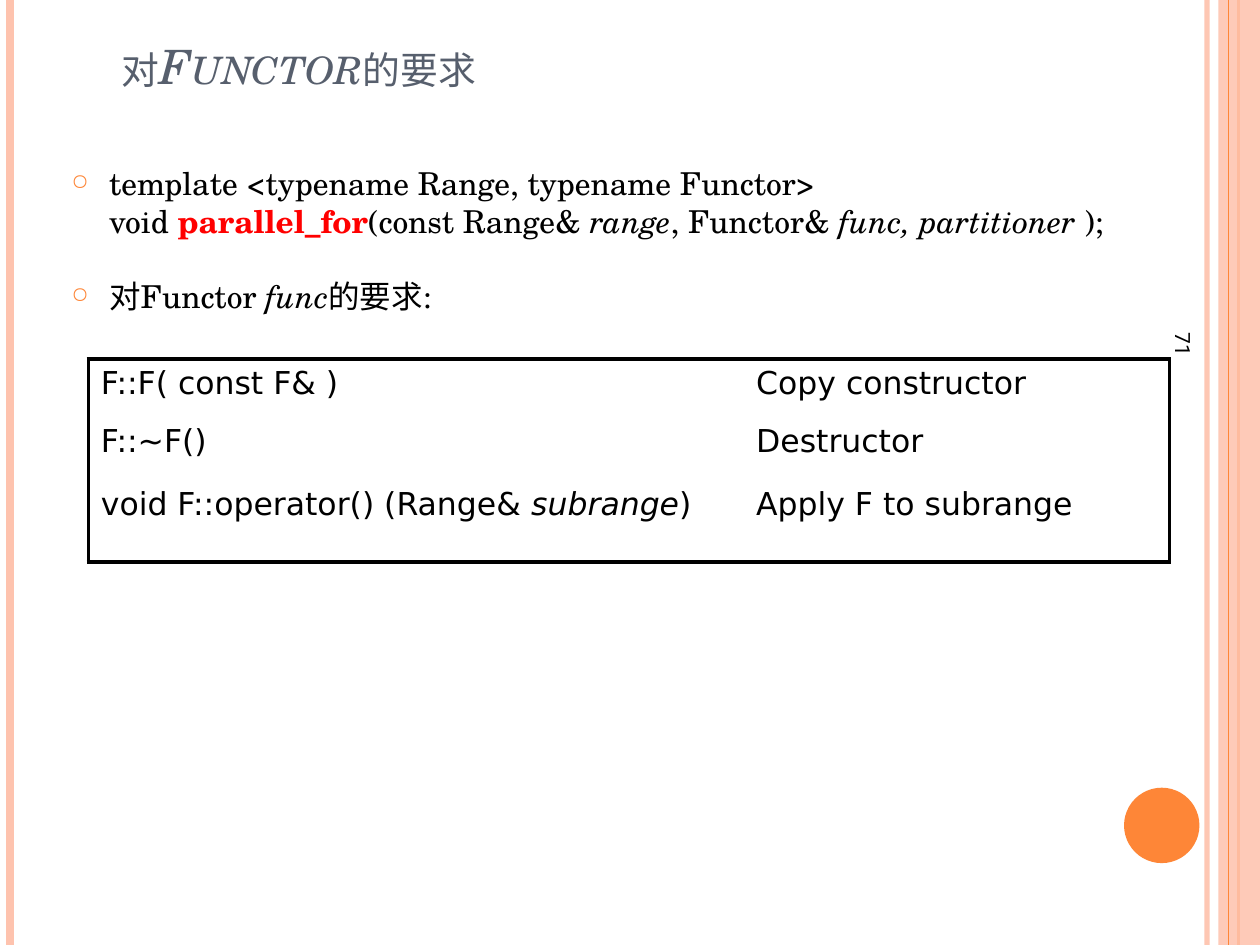
import dataclasses
import typing

import pptx
import pptx.dml.color
import pptx.enum.shapes
import pptx.enum.text
import pptx.oxml
import pptx.oxml.ns
import pptx.util
from pptx.util import Cm, Pt

RGBColor = pptx.dml.color.RGBColor
SHAPE = pptx.enum.shapes.MSO_SHAPE
ANCHOR = pptx.enum.text.MSO_ANCHOR

BLACK = RGBColor(0x00, 0x00, 0x00)
RED = RGBColor(0xFF, 0x00, 0x00)
SLATE = RGBColor(0x57, 0x5F, 0x6D)
PEACH = RGBColor(0xFE, 0xC3, 0xAE)
ORANGE = RGBColor(0xFE, 0x86, 0x37)

SERIF, SANS, NUMBER = "TeX Gyre Schola", "DejaVu Sans", "Roboto"
WIDTH, HEIGHT = 25.4, 19.05


@dataclasses.dataclass
class Stripe:
    x: float
    color: RGBColor
    width: float
    alpha: int = 100


@dataclasses.dataclass
class Decor:
    kind: typing.Any
    box: tuple[float, float, float, float]
    color: RGBColor
    alpha: int = 100


STRIPES = [
    Stripe(24.33, PEACH, 3, 93),
    Stripe(0.2, PEACH, 4.5),
    Stripe(24.97, ORANGE, 1.5),
]
BAND = Decor(SHAPE.RECTANGLE, (24.56, 0, 0.84, HEIGHT), PEACH, 87)
BAND_LINE = Stripe(24.77, ORANGE, 0.75)
DISC = Decor(SHAPE.OVAL, (22.66, 15.88, 1.52, 1.52), ORANGE)

# Text is a list of (words, format) pieces.
ITALIC = {"italic": True}
TITLE = [("对", {}), ("Functor", ITALIC), ("的要求", {})]
SIGNATURE = [
    ("template <typename Range, typename Functor>\nvoid ", {}),
    ("parallel_for", {"bold": True, "color": RED}),
    ("(const Range& ", {}),
    ("range", ITALIC),
    (", Functor& ", {}),
    ("func, partitioner ", ITALIC),
    (");", {}),
]
REQUIREMENT = [("对Functor ", {}), ("func", ITALIC), ("的要求:", {})]
ROWS = [
    ([("F::F( const F& )", {})], [("Copy constructor", {})]),
    ([("F::~F()", {})], [("Destructor", {})]),
    ([("void F::operator() (Range& ", {}), ("subrange", ITALIC), (")", {})],
     [("Apply F to subrange", {})]),
]
COL_WIDTHS = (13.21, 8.59)
ROW_HEIGHTS = (1.17, 1.27, 1.65)


def xml(tag: str, inner: str = "", attrs: str = ""):
    ns = pptx.oxml.ns.nsdecls("a")
    return pptx.oxml.parse_xml(f"<a:{tag} {ns} {attrs}>{inner}</a:{tag}>")


def set_alpha(element, percent: int) -> None:
    if percent < 100:
        for clr in element.iter(pptx.oxml.ns.qn("a:srgbClr")):
            clr.append(xml("alpha", attrs=f'val="{percent * 1000}"'))


def draw_stripe(s, stripe: Stripe) -> None:
    x = Cm(stripe.x)
    sp = s.shapes.add_connector(
        pptx.enum.shapes.MSO_CONNECTOR.STRAIGHT, x, 0, x, Cm(HEIGHT))
    sp.line.color.rgb = stripe.color
    sp.line.width = Pt(stripe.width)
    set_alpha(sp.line._get_or_add_ln(), stripe.alpha)
    sp._element.spPr.append(xml("effectLst"))


def draw_decor(s, decor: Decor) -> None:
    sp = s.shapes.add_shape(decor.kind, *map(Cm, decor.box))
    sp.shadow.inherit = False
    sp.fill.solid()
    sp.fill.fore_color.rgb = decor.color
    sp.line.fill.background()
    set_alpha(sp._element.spPr, decor.alpha)


def add_text(p, text: str, *, font=SERIF, size=18, color=BLACK,
             bold=False, italic=False, small_caps=False) -> None:
    for i, line in enumerate(text.split("\n")):
        if i:
            p.add_line_break()
        r = p.add_run()
        r.text = line
        r.font.name, r.font.size = font, Pt(size)
        r.font.bold, r.font.italic = bold, italic
        r.font.color.rgb = color
        if small_caps:
            r.font._element.set("cap", "small")


def fill_paragraph(p, pieces, **base) -> None:
    for text, fmt in pieces:
        add_text(p, text, **{**base, **fmt})


def add_box(s, box, anchor=ANCHOR.TOP):
    sp = s.shapes.add_textbox(*map(Cm, box))
    tf = sp.text_frame
    tf.word_wrap = True
    tf.vertical_anchor = anchor
    return sp


def add_bullet(p) -> None:
    pPr = p._p.get_or_add_pPr()
    indent = Cm(0.76)
    pPr.set("marL", str(indent))
    pPr.set("indent", str(-indent))
    pPr.append(xml("buClr", f'<a:srgbClr val="{ORANGE}"/>'))
    pPr.append(xml("buSzPct", attrs='val="70000"'))
    pPr.append(xml("buChar", attrs='char="○"'))


def set_borders(cell, sides: str) -> None:
    """Draw the sides named by letters in "LRTB" and clear the others."""
    tcPr = cell._tc.get_or_add_tcPr()
    solid = f'<a:solidFill><a:srgbClr val="{BLACK}"/></a:solidFill>'
    for side in "LRTB":
        inner = solid if side in sides else "<a:noFill/>"
        tcPr.append(xml(f"ln{side}", inner, f'w="{Pt(2.25)}"'))


def draw_table(s) -> None:
    frame = s.shapes.add_table(
        len(ROWS), len(COL_WIDTHS), Cm(1.78), Cm(7.24),
        Cm(sum(COL_WIDTHS)), Cm(sum(ROW_HEIGHTS)))
    table = frame.table
    table.first_row = table.horz_banding = False
    for col, width in zip(table.columns, COL_WIDTHS):
        col.width = Cm(width)
    for i, (row, height) in enumerate(zip(ROWS, ROW_HEIGHTS)):
        table.rows[i].height = Cm(height)
        for j, pieces in enumerate(row):
            cell = table.cell(i, j)
            edge = {0: "T", len(ROWS) - 1: "B"}.get(i, "")
            set_borders(cell, "LR"[j] + edge)
            cell.fill.background()
            fill_paragraph(cell.text_frame.paragraphs[0], pieces, font=SANS)


def main() -> None:
    prs = pptx.Presentation()
    prs.slide_width, prs.slide_height = Cm(WIDTH), Cm(HEIGHT)
    s = prs.slides.add_slide(prs.slide_layouts[6])

    for stripe in STRIPES:
        draw_stripe(s, stripe)
    draw_decor(s, BAND)
    draw_stripe(s, BAND_LINE)
    draw_decor(s, DISC)

    number = add_box(s, (19.41, 10.39, 8.89, 1.02), ANCHOR.MIDDLE)
    number.rotation = 90
    add_text(number.text_frame.paragraphs[0], "71", font=NUMBER, size=12)

    title = add_box(s, (2.21, 0.86, 21.69, 1.17), ANCHOR.BOTTOM)
    fill_paragraph(title.text_frame.paragraphs[0], TITLE,
                   size=27, color=SLATE, small_caps=True)

    tf = add_box(s, (1.19, 3.18, 22.94, 12.95)).text_frame
    for i, pieces in enumerate((SIGNATURE, REQUIREMENT)):
        p = tf.add_paragraph() if i else tf.paragraphs[0]
        p.space_before = Pt(21.5 * i)
        add_bullet(p)
        fill_paragraph(p, pieces)

    draw_table(s)
    prs.save("out.pptx")


if __name__ == "__main__":
    main()
